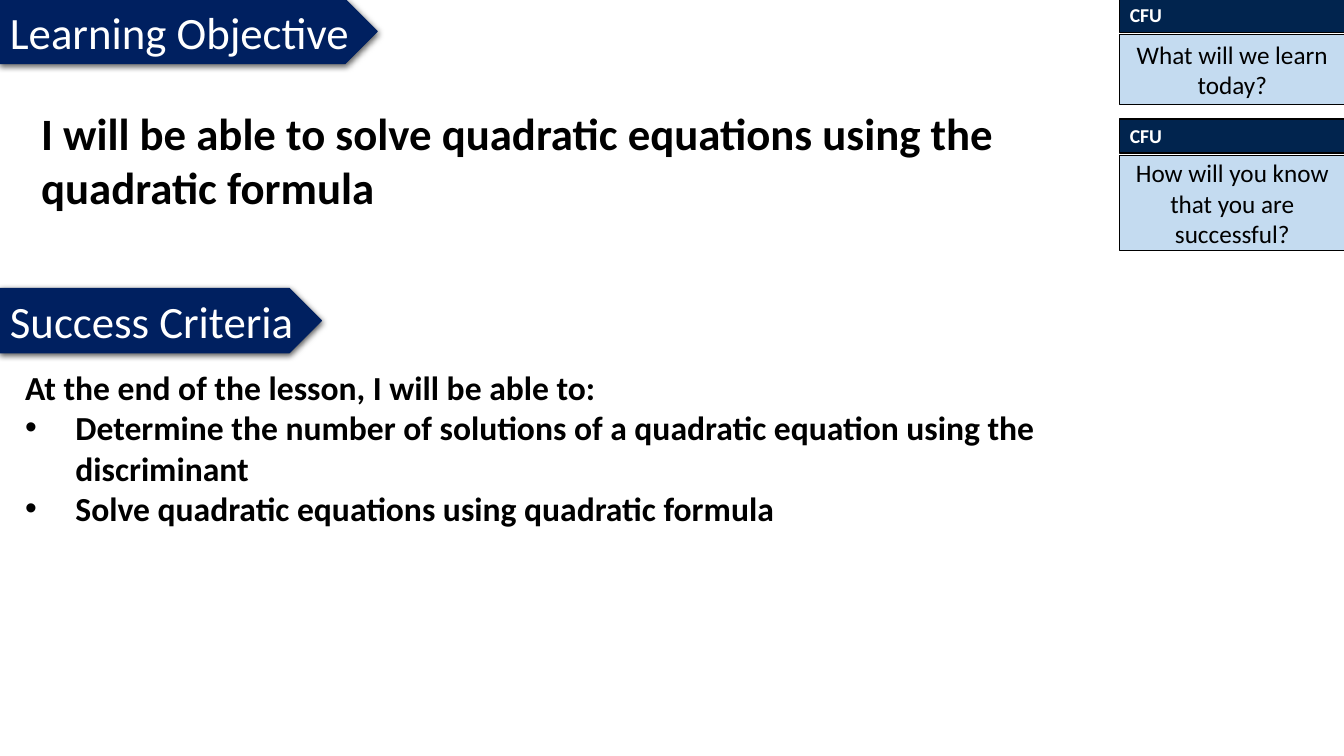
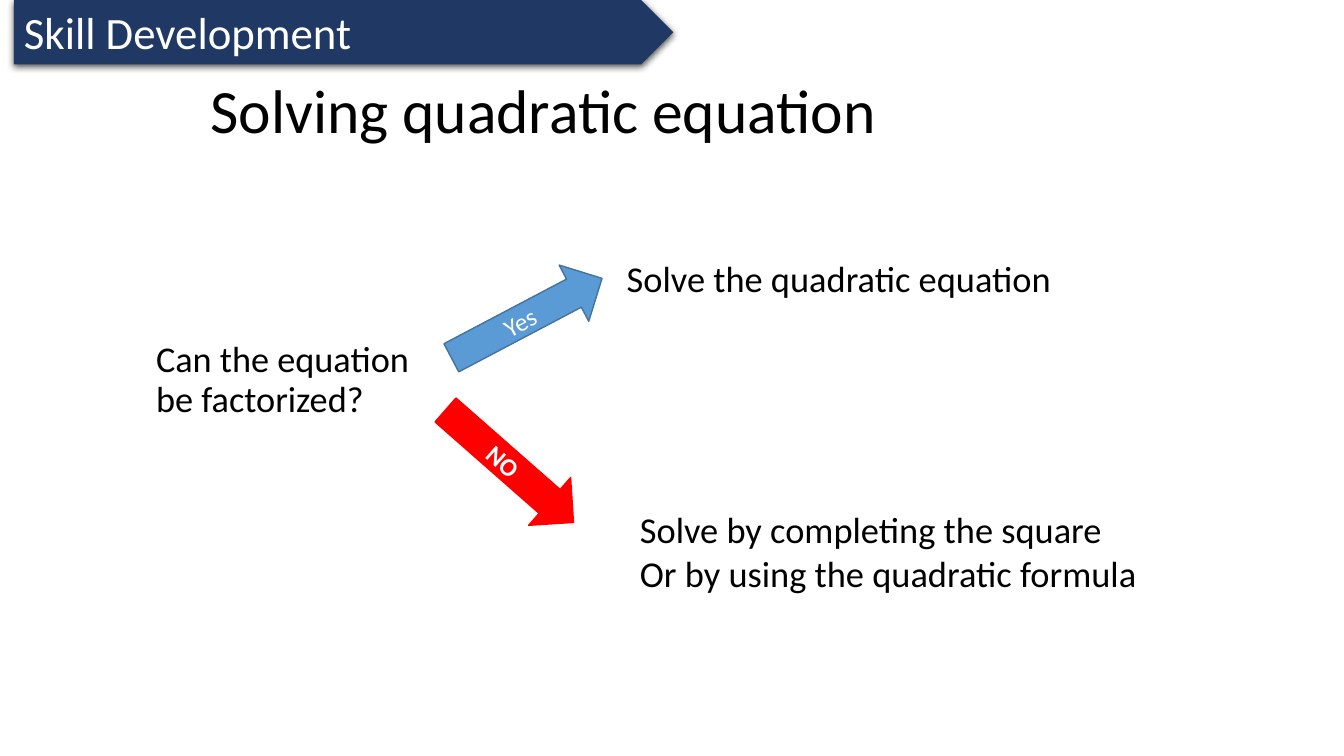
from dataclasses import dataclass
from typing import Optional

from lxml.etree import SubElement
from pptx import Presentation
from pptx.dml.color import RGBColor
from pptx.enum.shapes import MSO_SHAPE
from pptx.enum.text import MSO_ANCHOR, MSO_AUTO_SIZE, PP_ALIGN
from pptx.oxml.ns import qn
from pptx.util import Pt

FONT = "Calibri"
BLACK = RGBColor(0x00, 0x00, 0x00)
WHITE = RGBColor(0xFF, 0xFF, 0xFF)
NAVY = RGBColor(0x00, 0x20, 0x60)
SLATE = RGBColor(0x20, 0x38, 0x64)
CHECK_NAVY = RGBColor(0x01, 0x24, 0x4E)
CHECK_BLUE = RGBColor(0x9D, 0xC3, 0xE6)
ARROW_BLUE = RGBColor(0x5B, 0x9B, 0xD5)
ARROW_EDGE = RGBColor(0x43, 0x73, 0x9E)
RED = RGBColor(0xFF, 0x00, 0x00)

CHECK_LEFT, CHECK_WIDTH, CHECK_HEADER = 800, 160.5, 24.3
CHECK_GAP = 1.6
BANNER_HEIGHT = 46


@dataclass(frozen=True)
class Frame:
    left: float
    top: float
    width: float
    height: float


@dataclass(frozen=True)
class TextStyle:
    size: float
    color: RGBColor = BLACK
    bold: bool = False
    align: PP_ALIGN = PP_ALIGN.LEFT
    anchor: MSO_ANCHOR = MSO_ANCHOR.TOP
    grow: bool = True
    wrap: bool = True
    line_spacing: Optional[float] = None


@dataclass(frozen=True)
class TextBlock:
    frame: Frame
    lines: tuple[str, ...]
    style: TextStyle
    bullets_from: Optional[int] = None


@dataclass(frozen=True)
class Banner:
    text: str
    left: float
    top: float
    width: float
    fill: RGBColor
    edge: Optional[RGBColor] = None
    wrap: bool = False


@dataclass(frozen=True)
class Check:
    question: str
    top: float
    height: float


@dataclass(frozen=True)
class Arrow:
    text: str
    frame: Frame
    rotation: float
    fill: RGBColor
    edge: RGBColor
    bold: bool = False


CHECK_TITLE = TextStyle(14, WHITE, True)
CHECK_QUESTION = TextStyle(18, align=PP_ALIGN.CENTER, anchor=MSO_ANCHOR.MIDDLE, grow=False)
ANSWER = TextStyle(26)

OBJECTIVE_BANNERS = (
    Banner("Learning Objective", 0, -0.5, 269.5, NAVY, NAVY),
    Banner("Success Criteria", 0, 206, 229.7, NAVY, NAVY),
)
OBJECTIVE_TEXTS = (
    TextBlock(
        Frame(22.3, 72, 706.3, 85),
        ("I will be able to solve quadratic equations using the quadratic formula",),
        TextStyle(32, bold=True),
    ),
    TextBlock(
        Frame(10.8, 258.5, 864, 123.8),
        (
            "At the end of the lesson, I will be able to:",
            "Determine the number of solutions of a quadratic equation using the discriminant",
            "Solve quadratic equations using quadratic formula",
        ),
        TextStyle(24, bold=True),
        bullets_from=1,
    ),
)
CHECKS = (
    Check("What will we learn today?", -1.4, 50.4),
    Check("How will you know that you are successful?", 85, 68.4),
)
SKILL_BANNERS = (Banner("Skill Development", 10, 0, 471, SLATE, wrap=True),)
SKILL_TEXTS = (
    TextBlock(
        Frame(143.3, 28.8, 672.5, 104.4),
        ("Solving quadratic equation",),
        TextStyle(44, anchor=MSO_ANCHOR.MIDDLE, grow=False, line_spacing=0.9),
    ),
    TextBlock(
        Frame(104.4, 240.5, 208, 71.3),
        ("Can the equation be factorized?",),
        TextStyle(25.9, grow=False, line_spacing=0.9),
    ),
    TextBlock(Frame(440.6, 179.3, 328.3, 38.9), ("Solve the quadratic equation",), ANSWER),
    TextBlock(
        Frame(450, 358.6, 377.3, 70.6),
        ("Solve by completing the square", "Or by using the quadratic formula"),
        ANSWER,
    ),
)
ARROWS = (
    Arrow("Yes", Frame(315.4, 204.5, 121.7, 45.4), 332.2, ARROW_BLUE, ARROW_EDGE),
    Arrow("NO", Frame(303.1, 310.3, 121.7, 45.4), 41.3, RED, RED, True),
)


def points(frame: Frame) -> tuple[Pt, Pt, Pt, Pt]:
    return Pt(frame.left), Pt(frame.top), Pt(frame.width), Pt(frame.height)


def add_bullet(paragraph) -> None:
    properties = paragraph._p.get_or_add_pPr()
    properties.set("marL", str(Pt(36)))
    properties.set("indent", str(-Pt(36)))
    SubElement(properties, qn("a:buFont"), typeface="Arial")
    SubElement(properties, qn("a:buChar"), char="•")


def write_text(box, lines: tuple[str, ...], style: TextStyle,
               bullets_from: Optional[int] = None) -> None:
    text_frame = box.text_frame
    text_frame.text = "\n".join(lines)
    text_frame.word_wrap = style.wrap
    text_frame.vertical_anchor = style.anchor
    text_frame.auto_size = MSO_AUTO_SIZE.SHAPE_TO_FIT_TEXT if style.grow else MSO_AUTO_SIZE.NONE
    for index, paragraph in enumerate(text_frame.paragraphs):
        paragraph.alignment = style.align
        paragraph.line_spacing = style.line_spacing
        if bullets_from is not None and index >= bullets_from:
            add_bullet(paragraph)
        for span in paragraph.runs:
            span.font.name = FONT
            span.font.size = Pt(style.size)
            span.font.bold = style.bold
            span.font.color.rgb = style.color


def add_text(page, block: TextBlock) -> None:
    box = page.shapes.add_textbox(*points(block.frame))
    write_text(box, block.lines, block.style, block.bullets_from)


def add_box(page, kind: MSO_SHAPE, frame: Frame, fill: RGBColor,
            edge: Optional[RGBColor], edge_width: float = 0.75):
    box = page.shapes.add_shape(kind, *points(frame))
    box.shadow.inherit = False
    box.fill.solid()
    box.fill.fore_color.rgb = fill
    if edge is None:
        box.line.fill.background()
    else:
        box.line.color.rgb = edge
        box.line.width = Pt(edge_width)
    return box


def add_shadow(box) -> None:
    effects = box._element.spPr.find(qn("a:effectLst"))
    shadow = SubElement(effects, qn("a:outerShdw"), blurRad=str(Pt(4.5)),
                        dist=str(Pt(1.5)), dir="5400000", rotWithShape="0")
    color = SubElement(shadow, qn("a:srgbClr"), val=str(BLACK))
    SubElement(color, qn("a:alpha"), val="63000")


def set_opacity(box, percent: int) -> None:
    color = box._element.spPr.find(qn("a:solidFill")).find(qn("a:srgbClr"))
    SubElement(color, qn("a:alpha"), val=str(percent * 1000))


def add_banner(page, banner: Banner) -> None:
    frame = Frame(banner.left, banner.top, banner.width, BANNER_HEIGHT)
    box = add_box(page, MSO_SHAPE.PENTAGON, frame, banner.fill, banner.edge)
    add_shadow(box)
    write_text(box, (banner.text,), TextStyle(32, WHITE, wrap=banner.wrap))


def add_check(page, check: Check) -> None:
    header_frame = Frame(CHECK_LEFT, check.top, CHECK_WIDTH, CHECK_HEADER)
    header = add_box(page, MSO_SHAPE.RECTANGLE, header_frame, CHECK_NAVY, BLACK)
    write_text(header, ("CFU",), CHECK_TITLE)
    question_top = check.top + CHECK_HEADER + CHECK_GAP
    question_frame = Frame(CHECK_LEFT, question_top, CHECK_WIDTH, check.height)
    question = add_box(page, MSO_SHAPE.RECTANGLE, question_frame, CHECK_BLUE, BLACK)
    set_opacity(question, 60)
    write_text(question, (check.question,), CHECK_QUESTION)


def add_arrow(page, arrow: Arrow) -> None:
    box = add_box(page, MSO_SHAPE.RIGHT_ARROW, arrow.frame, arrow.fill, arrow.edge, 1)
    box.rotation = arrow.rotation
    style = TextStyle(18, WHITE, arrow.bold, PP_ALIGN.CENTER, MSO_ANCHOR.MIDDLE, grow=False)
    write_text(box, (arrow.text,), style)


def add_page(deck, texts: tuple[TextBlock, ...], banners: tuple[Banner, ...],
             checks: tuple[Check, ...] = (), arrows: tuple[Arrow, ...] = ()) -> None:
    page = deck.slides.add_slide(deck.slide_layouts[6])
    for block in texts:
        add_text(page, block)
    for check in checks:
        add_check(page, check)
    for arrow in arrows:
        add_arrow(page, arrow)
    for banner in banners:
        add_banner(page, banner)


def main() -> None:
    deck = Presentation()
    deck.slide_width, deck.slide_height = Pt(960), Pt(540)
    add_page(deck, OBJECTIVE_TEXTS, OBJECTIVE_BANNERS, checks=CHECKS)
    add_page(deck, SKILL_TEXTS, SKILL_BANNERS, arrows=ARROWS)
    deck.save("out.pptx")


if __name__ == "__main__":
    main()
